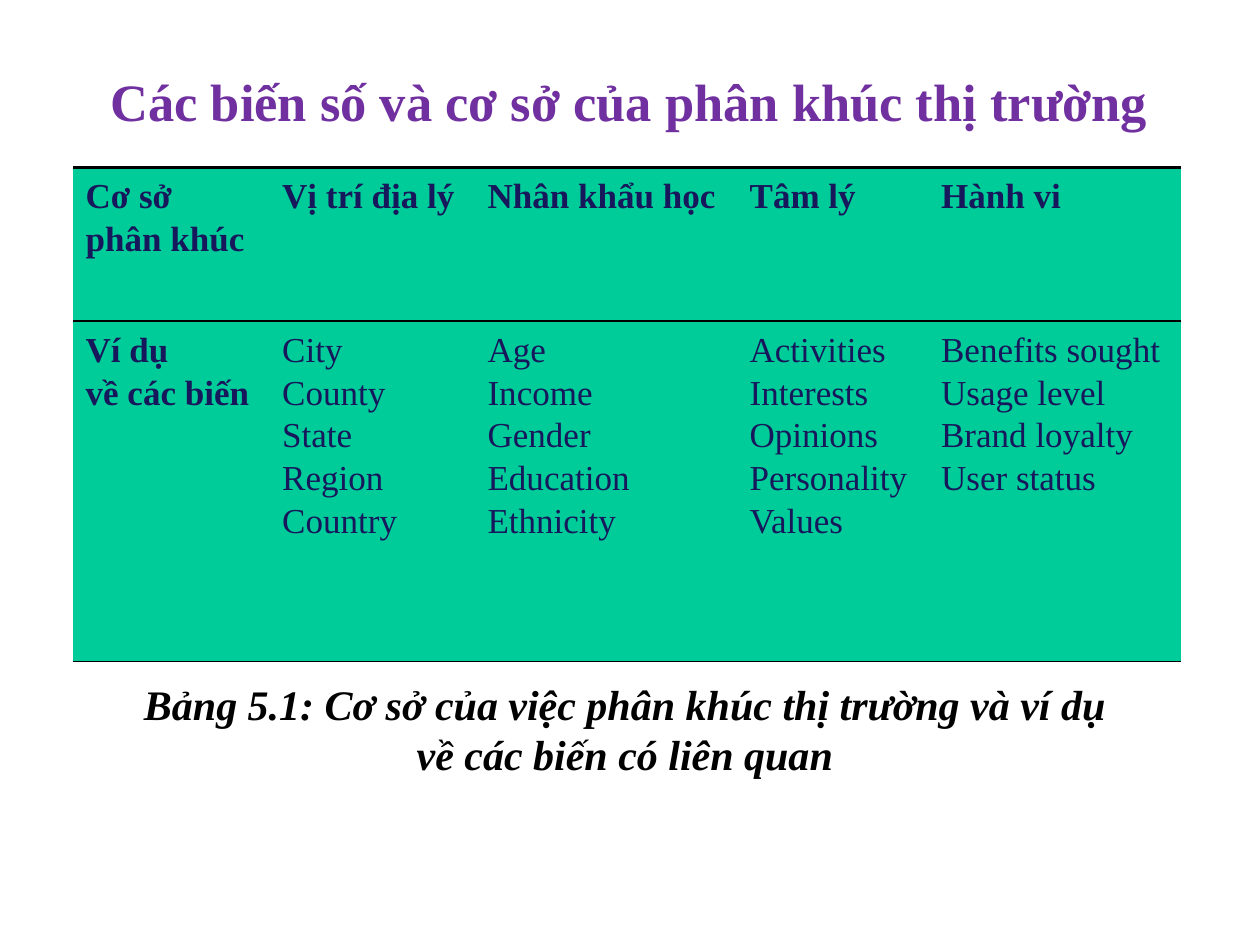
from dataclasses import dataclass

from lxml.etree import SubElement
from pptx import Presentation
from pptx.dml.color import RGBColor
from pptx.enum.text import PP_ALIGN
from pptx.oxml.ns import qn
from pptx.util import Inches, Pt


@dataclass(frozen=True)
class Theme:
    """Colours, type sizes and rule weights of the slide."""
    font: str = "Times New Roman"
    title_color: str = "7030A0"
    table_color: str = "17175C"
    caption_color: str = "000000"
    cell_fill: str = "00CC99"
    rule_color: str = "000000"
    title_size: float = 30
    table_size: float = 20
    caption_size: float = 24
    line_spacing: float = 1.1
    heavy_rule: float = 2.25
    light_rule: float = 1


THEME = Theme()
SLIDE_WIDTH, SLIDE_HEIGHT = Inches(10), Inches(7.5)
COLUMN_WEIGHTS = (1.56, 1.63, 2.08, 1.52, 2)
ROW_WEIGHTS = (1.22, 2.7)
BASES = (
    (("Cơ sở", "phân khúc"), ("Vị trí địa lý",), ("Nhân khẩu học",),
     ("Tâm lý",), ("Hành vi",)),
    (("Ví dụ", "về các biến"),
     ("City", "County", "State", "Region", "Country"),
     ("Age", "Income", "Gender", "Education", "Ethnicity"),
     ("Activities", "Interests", "Opinions", "Personality", "Values"),
     ("Benefits sought", "Usage level", "Brand loyalty", "User status")),
)


def share_box(left, top, width, height):
    """Turn shares of the slide's size into a box."""
    return (round(left * SLIDE_WIDTH), round(top * SLIDE_HEIGHT),
            round(width * SLIDE_WIDTH), round(height * SLIDE_HEIGHT))


def style_paragraph(paragraph, size, color, bold=True, italic=False):
    """Set the font of one paragraph."""
    font = paragraph.font
    font.name, font.size = THEME.font, Pt(size)
    font.bold, font.italic = bold, italic
    font.color.rgb = RGBColor.from_string(color)


def add_heading(slide, box, wording, size, color, italic=False):
    """Place a centred bold line of text in the box."""
    frame = slide.shapes.add_textbox(*box).text_frame
    frame.word_wrap = True
    paragraph = frame.paragraphs[0]
    paragraph.text = wording
    paragraph.alignment = PP_ALIGN.CENTER
    style_paragraph(paragraph, size, color, italic=italic)


def rule_cell(cell, top_weight, bottom_weight):
    """Draw rules above and below a cell and none at its sides."""
    properties = cell._tc.get_or_add_tcPr()
    weights = {"a:lnL": 0, "a:lnR": 0, "a:lnT": top_weight, "a:lnB": bottom_weight}
    for tag, weight in weights.items():
        rule = SubElement(properties, qn(tag), w=str(Pt(weight)))
        if weight:
            paint = SubElement(rule, qn("a:solidFill"))
            SubElement(paint, qn("a:srgbClr"), val=THEME.rule_color)
        else:
            SubElement(rule, qn("a:noFill"))


def fill_cell(cell, entries, bold, top_weight):
    """Write the entries into a ruled and coloured cell."""
    rule_cell(cell, top_weight, THEME.light_rule)
    cell.fill.solid()
    cell.fill.fore_color.rgb = RGBColor.from_string(THEME.cell_fill)
    cell.text = "\n".join(entries)
    for paragraph in cell.text_frame.paragraphs:
        paragraph.line_spacing = THEME.line_spacing
        style_paragraph(paragraph, THEME.table_size, THEME.table_color, bold)


def add_bases_table(slide, box):
    """Place the table of segmentation bases in the box."""
    table = slide.shapes.add_table(len(BASES), len(COLUMN_WEIGHTS), *box).table
    table.horz_banding = False
    for column, weight in zip(table.columns, COLUMN_WEIGHTS):
        column.width = round(box[2] * weight / sum(COLUMN_WEIGHTS))
    for row, weight in zip(table.rows, ROW_WEIGHTS):
        row.height = round(box[3] * weight / sum(ROW_WEIGHTS))
    for row_index, row_entries in enumerate(BASES):
        top_weight = THEME.light_rule if row_index else THEME.heavy_rule
        for column_index, entries in enumerate(row_entries):
            bold = row_index == 0 or column_index == 0
            fill_cell(table.cell(row_index, column_index), entries, bold, top_weight)


def main():
    """Build and save the slide."""
    deck = Presentation()
    deck.slide_width, deck.slide_height = SLIDE_WIDTH, SLIDE_HEIGHT
    slide = deck.slides.add_slide(deck.slide_layouts[6])
    add_heading(slide, share_box(0.058, 0.067, 0.883, 0.081),
                "Các biến số và cơ sở của phân khúc thị trường",
                THEME.title_size, THEME.title_color)
    add_bases_table(slide, share_box(0.058, 0.177, 0.879, 0.523))
    add_heading(slide, share_box(0.092, 0.711, 0.808, 0.175),
                "Bảng 5.1: Cơ sở của việc phân khúc thị trường và ví dụ về các biến có liên quan",
                THEME.caption_size, THEME.caption_color, italic=True)
    deck.save("out.pptx")


if __name__ == "__main__":
    main()
